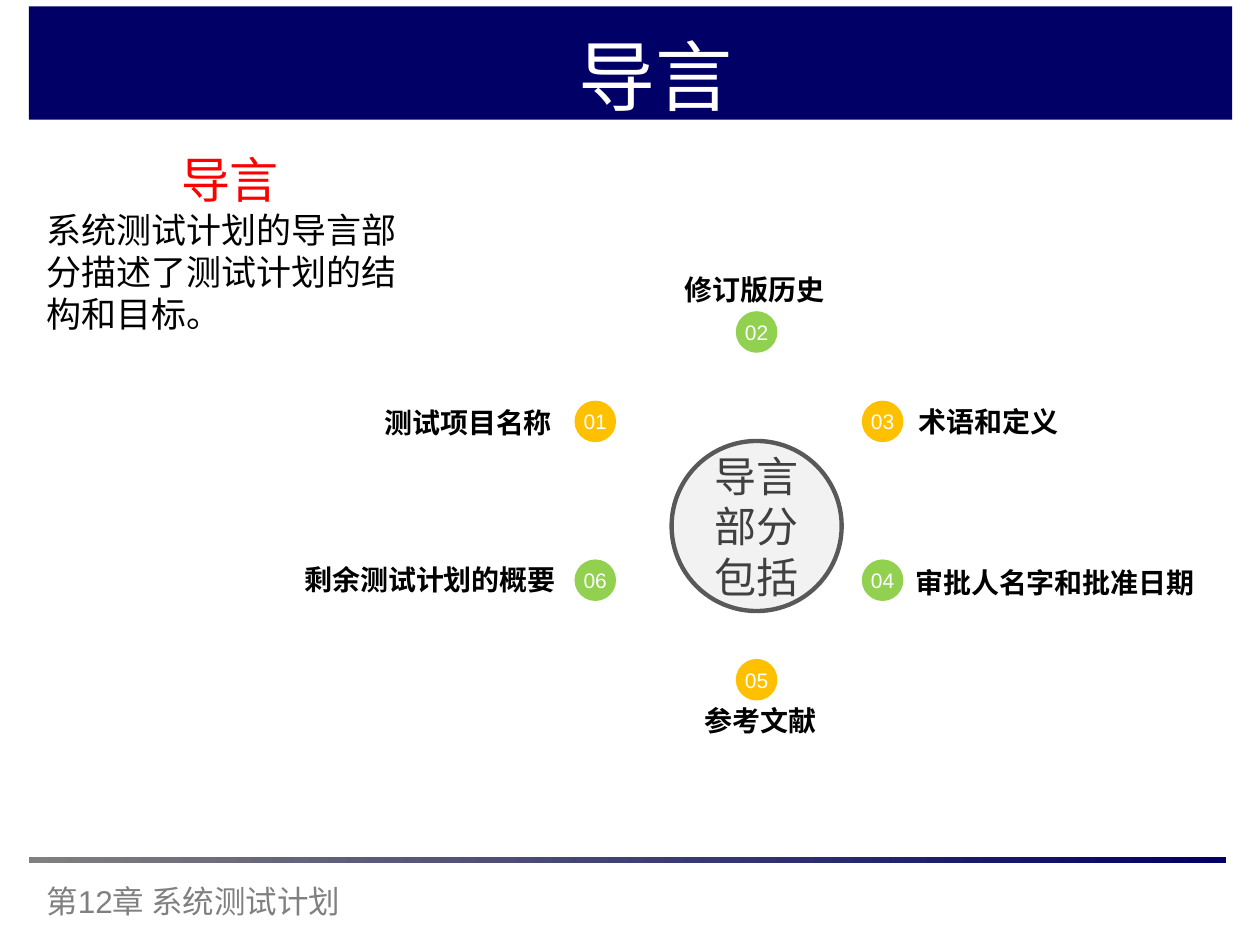
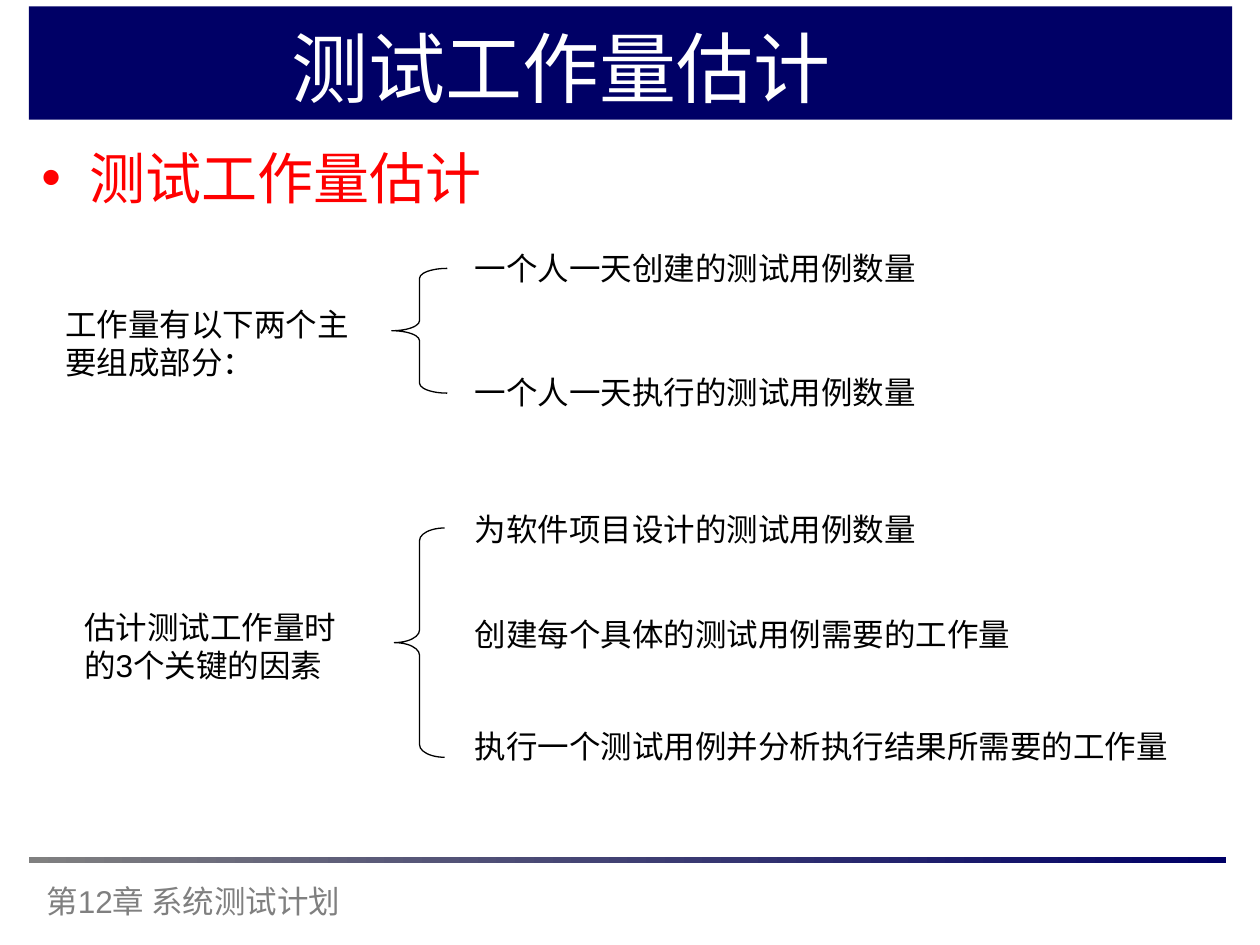
from dataclasses import dataclass

from lxml import etree
from pptx import Presentation
from pptx.dml.color import RGBColor
from pptx.enum.shapes import MSO_SHAPE as Preset
from pptx.enum.text import MSO_ANCHOR as Anchor, PP_ALIGN as Align
from pptx.oxml.ns import qn
from pptx.util import Inches, Pt

NAVY, GREY, WHITE, BLACK, RED = "000066", "808080", "FFFFFF", "000000", "FF0000"
GREEN, AMBER = "92D050", "FFC000"
LATIN, CJK = "Arial", "Noto Sans CJK SC"


@dataclass(frozen=True)
class Box:
    left: float
    top: float
    width: float
    height: float

    def lengths(self) -> list:
        return [Inches(n) for n in (self.left, self.top, self.width, self.height)]


@dataclass(frozen=True)
class Style:
    size: float
    color: str = BLACK
    font: str = LATIN
    bold: bool = False
    align: Align = Align.LEFT


@dataclass(frozen=True)
class Topic:
    number: int
    badge_left: float
    badge_top: float
    label: str
    label_box: Box


@dataclass(frozen=True)
class Breakdown:
    heading: str
    heading_box: Box
    brace_box: Box
    brace_curve: float
    items: dict  # item text -> top of its line


TITLE = Style(44, WHITE, align=Align.CENTER)
FOOTER = Style(18, GREY)
BADGE = Style(12, WHITE, align=Align.CENTER)
HUB = Style(24, "404040", CJK, align=Align.CENTER)
LABEL = Style(16, font=CJK, bold=True, align=Align.RIGHT)
ITEM = Style(18)

BADGE_SIZE = 0.33
LEFT, MIDDLE, RIGHT = 4.56, 5.84, 6.84
UPPER, LOWER = 3.18, 4.44
TOPICS = [
    Topic(1, LEFT, UPPER, "测试项目名称", Box(2.93, 3.18, 1.55, 0.34)),
    Topic(2, MIDDLE, 2.47, "修订版历史", Box(5.31, 2.13, 1.33, 0.34)),
    Topic(3, RIGHT, UPPER, "术语和定义", Box(7.17, 3.17, 1.33, 0.34)),
    Topic(4, RIGHT, LOWER, "审批人名字和批准日期", Box(7.13, 4.45, 2.45, 0.34)),
    Topic(5, MIDDLE, 5.23, "参考文献", Box(5.47, 5.55, 1.11, 0.34)),
    Topic(6, LEFT, LOWER, "剩余测试计划的概要", Box(2.26, 4.43, 2.25, 0.34)),
]
BREAKDOWNS = [
    Breakdown("工作量有以下两个主要组成部分：", Box(0.42, 2.37, 2.66, 0.7),
              Box(3.11, 2.13, 0.44, 0.99), 0.18,
              {"一个人一天创建的测试用例数量": 1.93,
               "一个人一天执行的测试用例数量": 2.91}),
    Breakdown("估计测试工作量时的3个关键的因素", Box(0.57, 4.78, 2.33, 0.7),
              Box(3.13, 4.19, 0.4, 1.82), 0.25,
              {"为软件项目设计的测试用例数量": 4,
               "创建每个具体的测试用例需要的工作量": 4.83,
               "执行一个测试用例并分析执行结果所需要的工作量": 5.72}),
]


def rgb(color: str) -> RGBColor:
    return RGBColor.from_string(color)


def write(paragraph, text: str, style: Style) -> None:
    paragraph.alignment = style.align
    run = paragraph.add_run()
    run.text = text
    values = {"size": Pt(style.size), "name": style.font, "bold": style.bold}
    for name, value in values.items():
        setattr(run.font, name, value)
    run.font.color.rgb = rgb(style.color)
    etree.SubElement(run._r.get_or_add_rPr(), qn("a:ea")).set("typeface", CJK)


def add_text(slide, box: Box, text: str, style: Style, **frame_format):
    frame = slide.shapes.add_textbox(*box.lengths()).text_frame
    for name, value in ({"word_wrap": True} | frame_format).items():
        setattr(frame, name, value)
    write(frame.paragraphs[0], text, style)
    return frame


def add_preset(slide, preset: Preset, box: Box, fill: str = "", line: str = "",
               line_width: float = 0):
    shape = slide.shapes.add_shape(preset, *box.lengths())
    shape.shadow.inherit = False
    if fill:
        shape.fill.solid()
        shape.fill.fore_color.rgb = rgb(fill)
    else:
        shape.fill.background()
    if line:
        shape.line.color.rgb = rgb(line)
        shape.line.width = Pt(line_width)
    else:
        shape.line.fill.background()
    return shape


def add_page(deck, title: str, title_box: Box, **title_format):
    """A slide with the shared band, footer and title."""
    slide = deck.slides.add_slide(deck.slide_layouts[6])
    add_preset(slide, Preset.RECTANGLE, Box(0.23, 0.05, 9.55, 0.9), NAVY)
    add_text(slide, Box(0.27, 6.95, 5.17, 0.4), "第12章 系统测试计划", FOOTER)
    rule = add_preset(slide, Preset.RECTANGLE, Box(0.23, 6.8, 9.5, 0.05))
    rule.fill.gradient()
    rule.fill.gradient_angle = 0
    for stop, position, color in zip(rule.fill.gradient_stops, (0, 1), (GREY, NAVY)):
        stop.position = position
        stop.color.rgb = rgb(color)
    add_text(slide, title_box, title, TITLE, vertical_anchor=Anchor.MIDDLE, **title_format)
    return slide


def add_badge(slide, topic: Topic) -> None:
    box = Box(topic.badge_left, topic.badge_top, BADGE_SIZE, BADGE_SIZE)
    badge = add_preset(slide, Preset.OVAL, box, AMBER if topic.number % 2 else GREEN)
    frame = badge.text_frame
    for side in ("left", "top", "right", "bottom"):
        setattr(frame, f"margin_{side}", Inches(0))
    frame.vertical_anchor = Anchor.MIDDLE
    write(frame.paragraphs[0], f"{topic.number:02}", BADGE)


def add_breakdown(slide, part: Breakdown) -> None:
    brace = add_preset(slide, Preset.LEFT_BRACE, part.brace_box, line=BLACK, line_width=0.75)
    brace.adjustments[0] = part.brace_curve
    add_text(slide, part.heading_box, part.heading, ITEM)
    for text, top in part.items.items():
        add_text(slide, Box(3.67, top, 5.91, 0.4), text, ITEM)


def add_bullet(paragraph, color: str, indent: float) -> None:
    properties = paragraph._p.get_or_add_pPr()
    properties.set("marL", str(Inches(indent)))
    properties.set("indent", str(Inches(-indent)))
    bullet_color = etree.SubElement(properties, qn("a:buClr"))
    etree.SubElement(bullet_color, qn("a:srgbClr")).set("val", color)
    etree.SubElement(properties, qn("a:buFont")).set("typeface", LATIN)
    etree.SubElement(properties, qn("a:buChar")).set("char", "•")


def build_introduction(deck) -> None:
    slide = add_page(deck, "导言", Box(0.5, 0.21, 9, 0.76), margin_left=Inches(0.5))

    # Ring of topics around the hub
    for topic in TOPICS:
        add_badge(slide, topic)
        add_text(slide, topic.label_box, topic.label, LABEL, word_wrap=False,
                 vertical_anchor=Anchor.MIDDLE, margin_left=Inches(0))
    hub = add_preset(slide, Preset.OVAL, Box(5.33, 3.5, 1.35, 1.35), "F2F2F2", "595959", 2.5)
    hub.text_frame.vertical_anchor = Anchor.MIDDLE
    write(hub.text_frame.paragraphs[0], "导言部分包括", HUB)

    # Summary at the upper left
    summary = add_text(slide, Box(0.27, 1.14, 3.11, 1.57), "导言",
                       Style(28, RED, align=Align.CENTER))
    write(summary.add_paragraph(), "系统测试计划的导言部分描述了测试计划的结构和目标。", Style(20))


def build_estimation(deck) -> None:
    slide = add_page(deck, "测试工作量估计", Box(0.32, 0.16, 8.27, 0.74))
    body = add_text(slide, Box(0.23, 1.09, 9.5, 5.59), "测试工作量估计", Style(32, RED))
    add_bullet(body.paragraphs[0], RED, 0.38)
    for part in BREAKDOWNS:
        add_breakdown(slide, part)


def main() -> None:
    deck = Presentation()
    deck.slide_width, deck.slide_height = Inches(10), Inches(7.5)
    build_introduction(deck)
    build_estimation(deck)
    deck.save("out.pptx")


if __name__ == "__main__":
    main()
